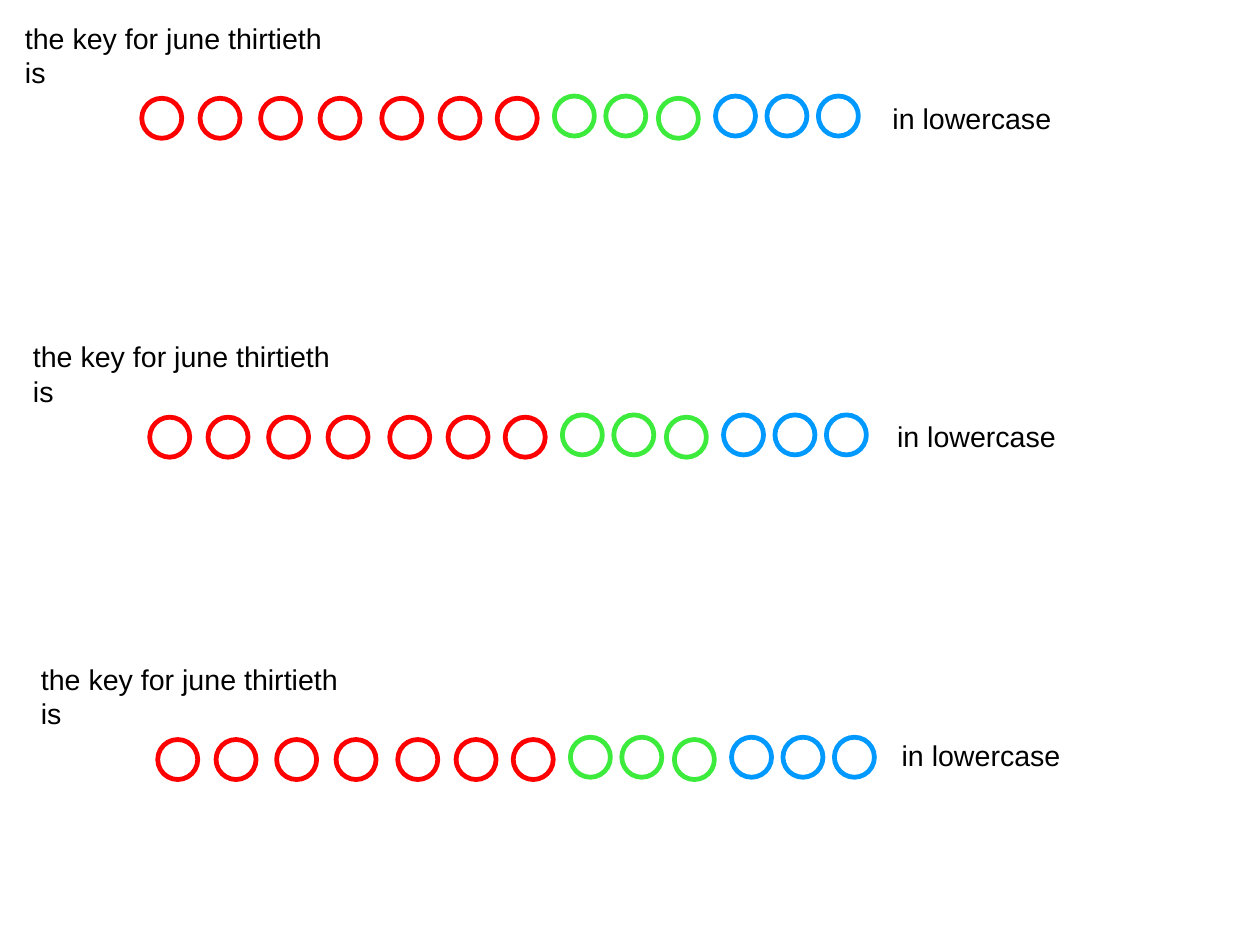
import pptx
import pptx.dml.color
import pptx.enum.shapes
import pptx.util
from pptx.util import Inches

CM_PER_INCH = 2.54
RED, GREEN, BLUE = "FF0000", "3DEB3D", "0099FF"
CIRCLE_SIZE = 0.35
CIRCLES = [
    (RED, 0.73, [0, 0.51, 1.04, 1.56, 2.1, 2.61, 3.11]),
    (GREEN, 0.71, [3.61, 4.06]),
    (GREEN, 0.73, [4.52]),
    (BLUE, 0.71, [5.02, 5.47, 5.92]),
]
KEY_ROWS = [
    (0.12, 0.13, 7.71, 0.83),
    (0.19, 2.92, 7.75, 3.62),
    (0.26, 5.74, 7.79, 6.41),
]


def color(value):
    """Return the colour for a hex string."""
    return pptx.dml.color.RGBColor.from_string(value)


def add_label(page, text, left, top):
    """Add a wrapping text box with a single run."""
    box = page.shapes.add_textbox(
        Inches(left), Inches(top), Inches(3.04), Inches(0.38))
    box.text_frame.word_wrap = True
    span = box.text_frame.paragraphs[0].add_run()
    span.text = text
    span.font.name = "Arial"
    span.font.size = pptx.util.Pt(18)
    span.font.color.rgb = color("000000")


def add_circle(page, left, top, outline):
    """Add a white letter circle with a coloured outline."""
    circle = page.shapes.add_shape(
        pptx.enum.shapes.MSO_SHAPE.OVAL, Inches(left), Inches(top),
        Inches(CIRCLE_SIZE), Inches(CIRCLE_SIZE))
    circle.shadow.inherit = False
    circle.fill.solid()
    circle.fill.fore_color.rgb = color("FFFFFF")
    circle.line.color.rgb = color(outline)
    circle.line.width = pptx.util.Pt(3)


def add_key_row(page, left, top, note_left, note_top):
    """Add one key: its heading, its letter circles and its note."""
    add_label(page, "the key for june thirtieth is", left, top)
    for outline, drop, offsets in CIRCLES:
        for offset in offsets:
            add_circle(page, left + 1.12 + offset, top + drop, outline)
    add_label(page, "in lowercase", note_left, note_top)


def main():
    """Build the slide with three keys and save it."""
    deck = pptx.Presentation()
    deck.slide_width = Inches(28 / CM_PER_INCH)
    deck.slide_height = Inches(21 / CM_PER_INCH)
    page = deck.slides.add_slide(deck.slide_layouts[6])
    for row in KEY_ROWS:
        add_key_row(page, *row)
    deck.save("out.pptx")


main()
